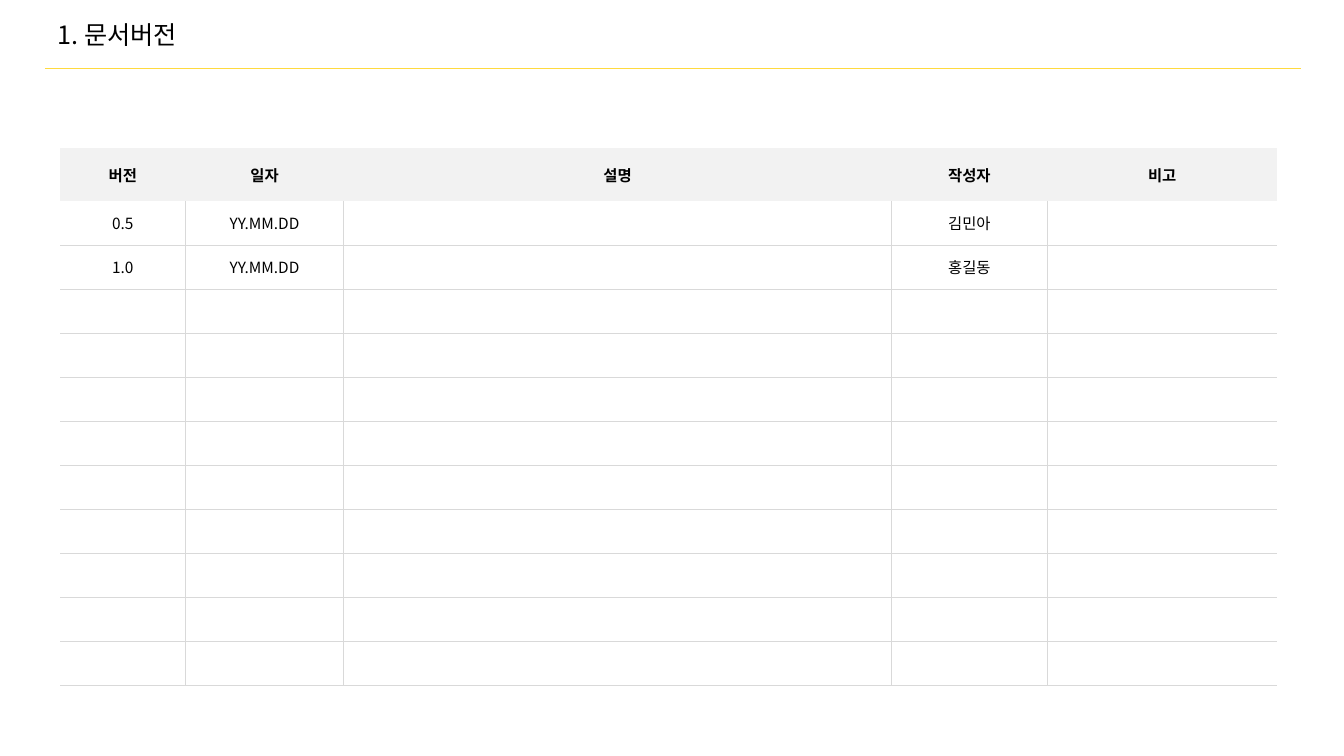
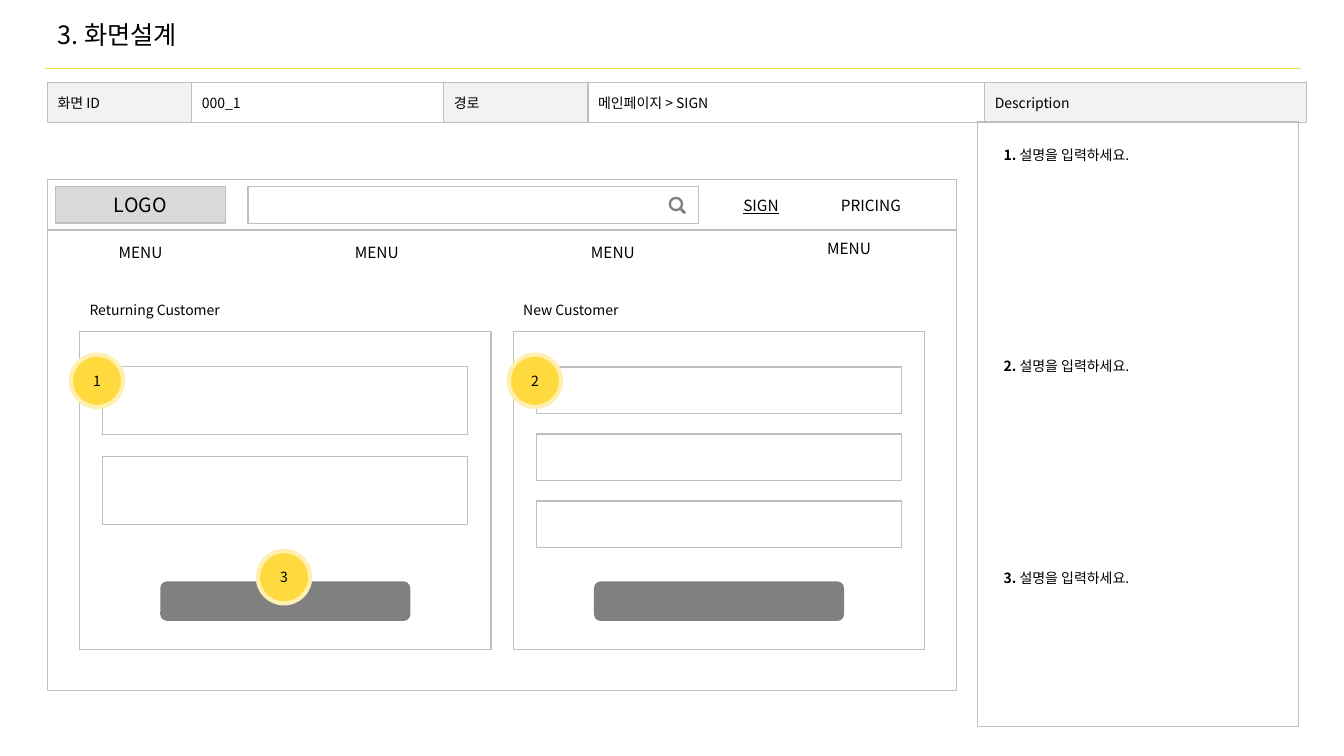
from typing import NamedTuple

from lxml import etree
from pptx import Presentation
from pptx.dml.color import RGBColor
from pptx.enum.shapes import MSO_CONNECTOR, MSO_SHAPE
from pptx.enum.text import MSO_ANCHOR, PP_ALIGN
from pptx.oxml.ns import qn
from pptx.util import Pt

FONT = "Noto Sans CJK KR"
COLORS = {
    "text": "000000", "white": "FFFFFF", "accent": "FFDA3F", "halo": "FFF0B2",
    "header": "F2F2F2", "grid": "D9D9D9", "frame": "BFBFBF", "button": "808080",
}
RECT, ROUNDED = MSO_SHAPE.RECTANGLE, MSO_SHAPE.ROUNDED_RECTANGLE
OVAL, DONUT = MSO_SHAPE.OVAL, MSO_SHAPE.DONUT
STRAIGHT = MSO_CONNECTOR.STRAIGHT
LEFT, CENTER = PP_ALIGN.LEFT, PP_ALIGN.CENTER
TOP, MIDDLE = MSO_ANCHOR.TOP, MSO_ANCHOR.MIDDLE
EDGES = ("L", "R", "T", "B")
TITLE_ONLY = 5


class Box(NamedTuple):
    """A rectangle in points."""
    left: float
    top: float
    width: float
    height: float

    def lengths(self):
        """Return the four values as lengths."""
        return [Pt(value) for value in self]

    def inner(self, left, top, width, height):
        """Return a box placed relative to this one's corner."""
        return Box(self.left + left, self.top + top, width, height)


def color(name):
    """Look up a named colour."""
    return RGBColor.from_string(COLORS[name])


def add_span(para, text, size=11, bold=False, underline=False):
    """Add one formatted run to a paragraph."""
    span = para.add_run()
    span.text = text
    font = span.font
    font.name, font.size = FONT, Pt(size)
    font.bold, font.underline = bold, underline
    font.color.rgb = color("text")
    etree.SubElement(span._r.get_or_add_rPr(), qn("a:ea"), typeface=FONT)


def write(frame, text, align=LEFT, anchor=MIDDLE, **style):
    """Write one paragraph into a text frame and return it."""
    frame.word_wrap = True
    frame.vertical_anchor = anchor
    para = frame.paragraphs[0]
    para.alignment = align
    add_span(para, text, **style)
    return para


def add_label(page, box, text, **style):
    """Add a text box and return its paragraph."""
    return write(page.shapes.add_textbox(*box.lengths()).text_frame, text, **style)


def add_form(page, box, kind=RECT, fill=None, line="frame", weight=1):
    """Add a preset shape with optional fill and outline."""
    shape = page.shapes.add_shape(kind, *box.lengths())
    shape.shadow.inherit = False
    if fill:
        shape.fill.solid()
        shape.fill.fore_color.rgb = color(fill)
    else:
        shape.fill.background()
    if line:
        shape.line.color.rgb = color(line)
        shape.line.width = Pt(weight)
    else:
        shape.line.fill.background()
    return shape


def add_rule(page, x1, y1, x2, y2, line="frame", weight=1):
    """Add a straight line without shadow."""
    rule = page.shapes.add_connector(STRAIGHT, Pt(x1), Pt(y1), Pt(x2), Pt(y2))
    rule.line.color.rgb = color(line)
    rule.line.width = Pt(weight)
    etree.SubElement(rule._element.spPr, qn("a:effectLst"))


def set_borders(cell, edges, line, weight):
    """Draw the listed cell edges and clear the others."""
    properties = cell._tc.get_or_add_tcPr()
    for index, edge in enumerate(EDGES):
        border = etree.Element(qn(f"a:ln{edge}"), w=str(Pt(weight)))
        if edge in edges:
            solid = etree.SubElement(border, qn("a:solidFill"))
            etree.SubElement(solid, qn("a:srgbClr"), val=COLORS[line])
        else:
            etree.SubElement(border, qn("a:noFill"))
        properties.insert(index, border)


def format_cell(cell, text="", fill=None, edges="", line="grid", weight=0.5, **style):
    """Fill, border and write one table cell."""
    cell.margin_top = cell.margin_bottom = 0
    cell.vertical_anchor = MIDDLE
    if fill:
        cell.fill.solid()
        cell.fill.fore_color.rgb = color(fill)
    else:
        cell.fill.background()
    set_borders(cell, edges, line, weight)
    if text:
        para = cell.text_frame.paragraphs[0]
        para.alignment = style.pop("align", LEFT)
        add_span(para, text, **style)


def add_grid(page, left, top, widths, heights):
    """Add a plain table with the given column widths and row heights."""
    box = Box(left, top, sum(widths), sum(heights))
    table = page.shapes.add_table(len(heights), len(widths), *box.lengths()).table
    table.first_row = table.horz_banding = False
    for column, width in zip(table.columns, widths):
        column.width = Pt(width)
    for row, height in zip(table.rows, heights):
        row.height = Pt(height)
    return table


def add_page(deck, title):
    """Add a slide with the shared title and yellow rule."""
    page = deck.slides.add_slide(deck.slide_layouts[TITLE_ONLY])
    add_rule(page, 32, 49, 929, 49, line="accent", weight=0.5)
    holder = page.shapes.title
    holder.left, holder.top, holder.width, holder.height = Box(34, 0, 428, 49).lengths()
    write(holder.text_frame, title, size=18)
    return page


def add_version_table(page, left, top):
    """Add the version history: a header, two entries and empty rows."""
    headings = ["버전", "일자", "설명", "작성자", "비고"]
    entries = [["0.5", "YY.MM.DD", "", "김민아", ""],
               ["1.0", "YY.MM.DD", "", "홍길동", ""]]
    entries += [[""] * len(headings)] * 9
    table = add_grid(page, left, top, [89.5, 113, 391.5, 111, 164.5],
                     [38] + [31.45] * len(entries))
    last = len(headings) - 1
    for column, heading in enumerate(headings):
        format_cell(table.cell(0, column), heading, fill="header", bold=True, align=CENTER)
    for row, entry in enumerate(entries, start=1):
        for column, text in enumerate(entry):
            edges = "B" + "T" * (row > 1) + "L" * (column > 0) + "R" * (column < last)
            format_cell(table.cell(row, column), text, edges=edges, align=CENTER)


def add_screen_info(page, left, top):
    """Add the one-row table that identifies the screen."""
    texts = ["화면 ID", "000_1", "경로", "메인페이지 > SIGN", "Description"]
    table = add_grid(page, left, top, [103, 180, 103, 283.5, 230], [28.3])
    for column, text in enumerate(texts):
        fill = "white" if column % 2 else "header"
        format_cell(table.cell(0, column), text, fill=fill, edges="LRTB",
                    line="frame", weight=1, size=10)


def add_descriptions(page, box):
    """Add the description panel with evenly spaced notes."""
    add_form(page, box)
    for index in range(3):
        note = box.inner(11.5, 13.5 + 151.2 * index, 207, 19.4)
        para = add_label(page, note, f"{index + 1}. ", anchor=TOP, size=10, bold=True)
        add_span(para, "설명을 입력하세요.", size=10)


def add_search(page, box):
    """Add the search field with its magnifier."""
    add_form(page, box)
    lens = box.inner(box.width - 21.5, 7.2, 10.4, 10.4)
    ring = add_form(page, lens, kind=DONUT, fill="button", line=None)
    ring.adjustments[0] = 0.16
    x, y = lens.left + 8.8, lens.top + 8.8
    add_rule(page, x, y, x + 3, y + 3, line="button", weight=2)


def add_site_header(page, box):
    """Add the logo, search field, links and menu of the mock site."""
    logo = add_form(page, box.inner(5.6, 5, 121.3, 26), fill="grid")
    write(logo.text_frame, "LOGO", align=CENTER, size=14)
    add_search(page, box.inner(143.3, 5, 321.8, 26.4))
    for index, link in enumerate(["SIGN", "PRICING"]):
        add_label(page, box.inner(465 + 78.5 * index, 8, 89.3, 20.6), link,
                  align=CENTER, underline=index == 0)
    rule_y = box.top + 36
    add_rule(page, box.left, rule_y, box.left + box.width, rule_y)
    for index, lift in enumerate([0, 0, 0, 3]):
        add_label(page, box.inner(21.8 + 168.7 * index, 41.9 - lift, 89.3, 20.6),
                  "MENU", align=CENTER)


def add_customer_panel(page, box, heading, count, height, pitch):
    """Add a headed panel with stacked input fields and a button."""
    add_label(page, box.inner(0, -24.7, 213, 19.4), heading, anchor=TOP, size=10)
    add_form(page, box)
    for index in range(count):
        add_form(page, box.inner(16.5, 25.2 + pitch * index, 260.8, height))
    add_form(page, box.inner(57.6, 178.5, 178.6, 28.2), kind=ROUNDED,
             fill="button", line=None)


def add_badge(page, left, top, number):
    """Add a numbered yellow marker."""
    badge = add_form(page, Box(left, top, 37.4, 37.4), kind=OVAL,
                     fill="accent", line="halo", weight=3)
    frame = badge.text_frame
    frame.margin_left = frame.margin_right = frame.margin_top = frame.margin_bottom = 0
    write(frame, str(number), align=CENTER, size=10)


def add_wireframe(page, box):
    """Add the sign-in page mock-up with its markers."""
    add_form(page, box)
    add_site_header(page, box)
    panels = [("Returning Customer", 2, 48.3, 64.3), ("New Customer", 3, 33.2, 48)]
    for index, panel in enumerate(panels):
        add_customer_panel(page, box.inner(22.9 + 309.8 * index, 108.5, 293.8, 227), *panel)
    for number, (x, y) in enumerate([(16.6, 125), (329.4, 125), (150.2, 265.3)], start=1):
        add_badge(page, box.left + x, box.top + y, number)


def build_version_page(deck):
    """Build the document version slide."""
    page = add_page(deck, "1. 문서버전")
    add_version_table(page, 43, 105.5)


def build_screen_page(deck):
    """Build the screen design slide."""
    page = add_page(deck, "3. 화면설계")
    add_screen_info(page, 34, 59)
    add_descriptions(page, Box(698.3, 87.3, 229.5, 431.5))
    add_wireframe(page, Box(34, 128.3, 649.2, 365))


deck = Presentation()
deck.slide_width, deck.slide_height = Pt(960), Pt(540)
build_version_page(deck)
build_screen_page(deck)
deck.save("out.pptx")
